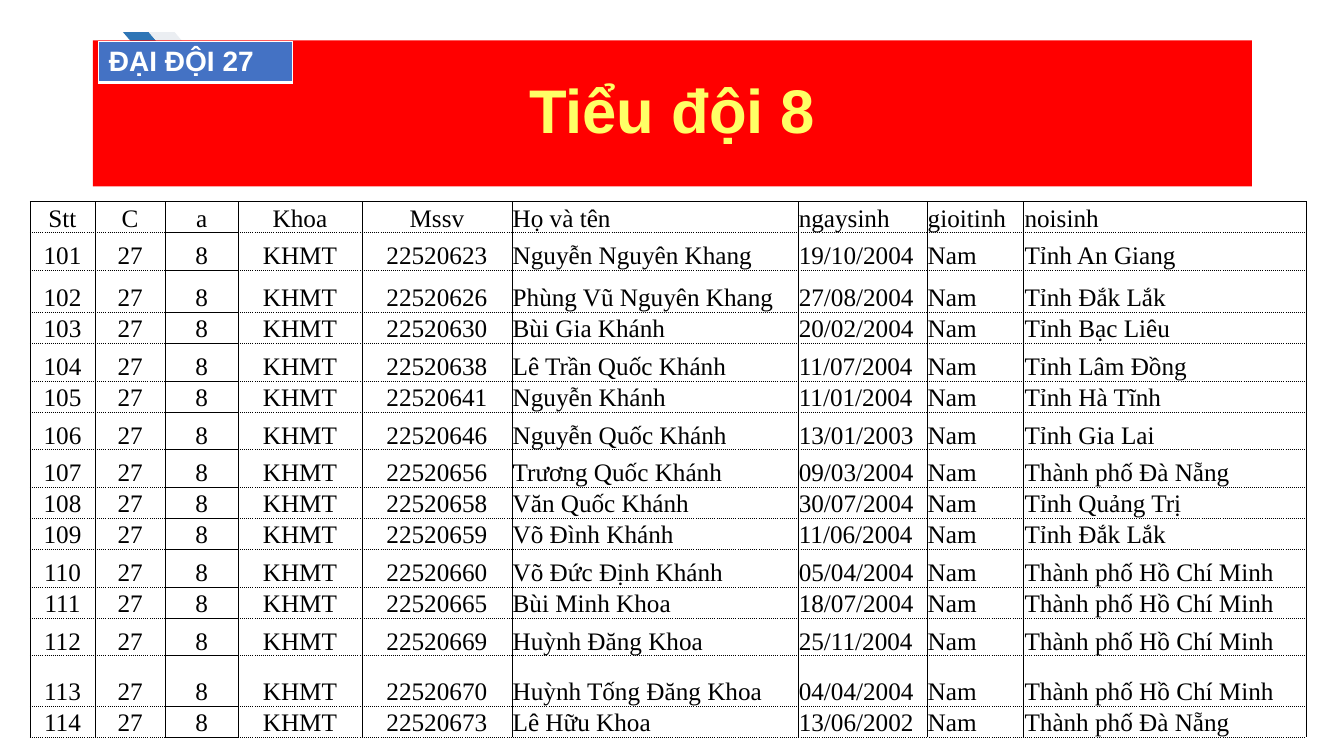
from dataclasses import dataclass

from lxml import etree
from pptx import Presentation
from pptx import util as u
from pptx.dml.color import RGBColor
from pptx.enum import shapes, text
from pptx.oxml import ns


@dataclass(frozen=True)
class Theme:
    banner: str = "FF0000"
    heading: str = "FFFF66"
    badge: str = "4472C4"
    blue: str = "2E75B6"
    pale: str = "EBEEF2"
    ink: str = "000000"
    white: str = "FFFFFF"
    sans: str = "Arial"
    serif: str = "Times New Roman"
    heading_size: int = 44
    badge_size: int = 20
    roster_size: int = 18


THEME = Theme()
LEFT, CENTER = text.PP_ALIGN.LEFT, text.PP_ALIGN.CENTER
HEADERS = ("Stt", "C", "a", "Khoa", "Mssv", "Họ và tên", "ngaysinh", "gioitinh", "noisinh")
COLUMN_WIDTHS = (1.63, 1.78, 1.83, 3.12, 3.78, 7.21, 3.25, 2.44, 7.11)
ROW_HEIGHTS = (0.78, 0.95, 1.06, 0.78, 0.95, 0.78, 0.95, 0.95,
               0.78, 0.78, 0.95, 0.78, 0.95, 1.27, 0.78)
CENTERED_COLUMNS = 5
SQUAD_COLUMN = 2
FIRST_NUMBER = 101
STUDENTS = (
    ("22520623", "Nguyễn Nguyên Khang", "19/10/2004", "Tỉnh An Giang"),
    ("22520626", "Phùng Vũ Nguyên Khang", "27/08/2004", "Tỉnh Đắk Lắk"),
    ("22520630", "Bùi Gia Khánh", "20/02/2004", "Tỉnh Bạc Liêu"),
    ("22520638", "Lê Trần Quốc Khánh", "11/07/2004", "Tỉnh Lâm Đồng"),
    ("22520641", "Nguyễn Khánh", "11/01/2004", "Tỉnh Hà Tĩnh"),
    ("22520646", "Nguyễn Quốc Khánh", "13/01/2003", "Tỉnh Gia Lai"),
    ("22520656", "Trương Quốc Khánh", "09/03/2004", "Thành phố Đà Nẵng"),
    ("22520658", "Văn Quốc Khánh", "30/07/2004", "Tỉnh Quảng Trị"),
    ("22520659", "Võ Đình Khánh", "11/06/2004", "Tỉnh Đắk Lắk"),
    ("22520660", "Võ Đức Định Khánh", "05/04/2004", "Thành phố Hồ Chí Minh"),
    ("22520665", "Bùi Minh Khoa", "18/07/2004", "Thành phố Hồ Chí Minh"),
    ("22520669", "Huỳnh Đăng Khoa", "25/11/2004", "Thành phố Hồ Chí Minh"),
    ("22520670", "Huỳnh Tống Đăng Khoa", "04/04/2004", "Thành phố Hồ Chí Minh"),
    ("22520673", "Lê Hữu Khoa", "13/06/2002", "Thành phố Đà Nẵng"),
)


def write(frame, words, *, size, color, font, bold=False, align=LEFT, spacing=None):
    paragraph = frame.paragraphs[0]
    paragraph.alignment = align
    paragraph.line_spacing = spacing
    run = paragraph.add_run()
    run.text = words
    run.font.size = u.Pt(size)
    run.font.name = font
    run.font.bold = bold
    run.font.color.rgb = RGBColor.from_string(color)


def add_border(cell, side, color, width, dash="solid"):
    properties = cell._tc.get_or_add_tcPr()
    line = etree.SubElement(properties, ns.qn(f"a:ln{side}"), w=str(u.Pt(width)))
    fill = etree.SubElement(line, ns.qn("a:solidFill"))
    etree.SubElement(fill, ns.qn("a:srgbClr"), val=color)
    etree.SubElement(line, ns.qn("a:prstDash"), val=dash)


def add_grid(slide, box, widths, heights):
    left, top, width, height = map(u.Cm, box)
    grid = slide.shapes.add_table(len(heights), len(widths), left, top, width, height).table
    grid.first_row = grid.horz_banding = False
    for column, column_width in zip(grid.columns, widths):
        column.width = u.Cm(column_width)
    for row, row_height in zip(grid.rows, heights):
        row.height = u.Cm(row_height)
    return grid


def add_chevrons(slide, box):
    left, top, width, height = box
    for index, color in enumerate((THEME.blue, THEME.pale)):
        chevron = slide.shapes.add_shape(
            shapes.MSO_SHAPE.CHEVRON, u.Cm(left + index * width / 2), u.Cm(top),
            u.Cm(width), u.Cm(height))
        chevron.shadow.inherit = False
        chevron.fill.solid()
        chevron.fill.fore_color.rgb = RGBColor.from_string(color)
        chevron.line.fill.background()


def add_banner(slide, box):
    banner = slide.shapes.title
    banner.left, banner.top, banner.width, banner.height = map(u.Cm, box)
    banner.fill.solid()
    banner.fill.fore_color.rgb = RGBColor.from_string(THEME.banner)
    banner.text_frame.auto_size = text.MSO_AUTO_SIZE.NONE
    banner.text_frame.vertical_anchor = text.MSO_ANCHOR.MIDDLE
    write(banner.text_frame, "Tiểu đội 8", size=THEME.heading_size, color=THEME.heading,
          font=THEME.sans, bold=True, align=CENTER, spacing=0.9)
    slide.shapes._spTree.append(banner._element)


def add_roster(slide, box):
    roster = add_grid(slide, box, COLUMN_WIDTHS, ROW_HEIGHTS)
    records = [HEADERS] + [
        (str(number), "27", "8", "KHMT", code, name, birthday, "Nam", birthplace)
        for number, (code, name, birthday, birthplace) in enumerate(STUDENTS, FIRST_NUMBER)]
    for row, record in enumerate(records):
        for column, words in enumerate(record):
            cell = roster.cell(row, column)
            cell.margin_left = cell.margin_right = cell.margin_top = u.Cm(0.02)
            cell.margin_bottom = 0
            cell.vertical_anchor = text.MSO_ANCHOR.BOTTOM
            bottom = "solid" if column == SQUAD_COLUMN else "sysDot"
            top = "solid" if row == 0 else bottom
            for side, dash in (("L", "solid"), ("R", "solid"), ("T", top), ("B", bottom)):
                add_border(cell, side, THEME.ink, 0.5, dash)
            cell.fill.background()
            write(cell.text_frame, words, size=THEME.roster_size, color=THEME.ink,
                  font=THEME.serif, align=CENTER if column < CENTERED_COLUMNS else LEFT)


def add_badge(slide, box):
    badge = add_grid(slide, box, box[2:3], box[3:]).cell(0, 0)
    for side, width in (("L", 1), ("R", 1), ("T", 1), ("B", 3)):
        add_border(badge, side, THEME.white, width)
    badge.fill.solid()
    badge.fill.fore_color.rgb = RGBColor.from_string(THEME.badge)
    write(badge.text_frame, "ĐẠI ĐỘI 27", size=THEME.badge_size, color=THEME.white,
          font=THEME.sans, bold=True)


def main():
    deck = Presentation()
    deck.slide_width, deck.slide_height = u.Cm(33.87), u.Cm(19.05)
    slide = deck.slides.add_slide(deck.slide_layouts[5])
    add_chevrons(slide, (3.1, 0.81, 1.3, 1.52))
    add_banner(slide, (2.34, 1.02, 29.21, 3.68))
    add_roster(slide, (0.76, 5.08, sum(COLUMN_WIDTHS), sum(ROW_HEIGHTS)))
    add_badge(slide, (2.49, 1.04, 4.88, 1.04))
    deck.save("out.pptx")


if __name__ == "__main__":
    main()
